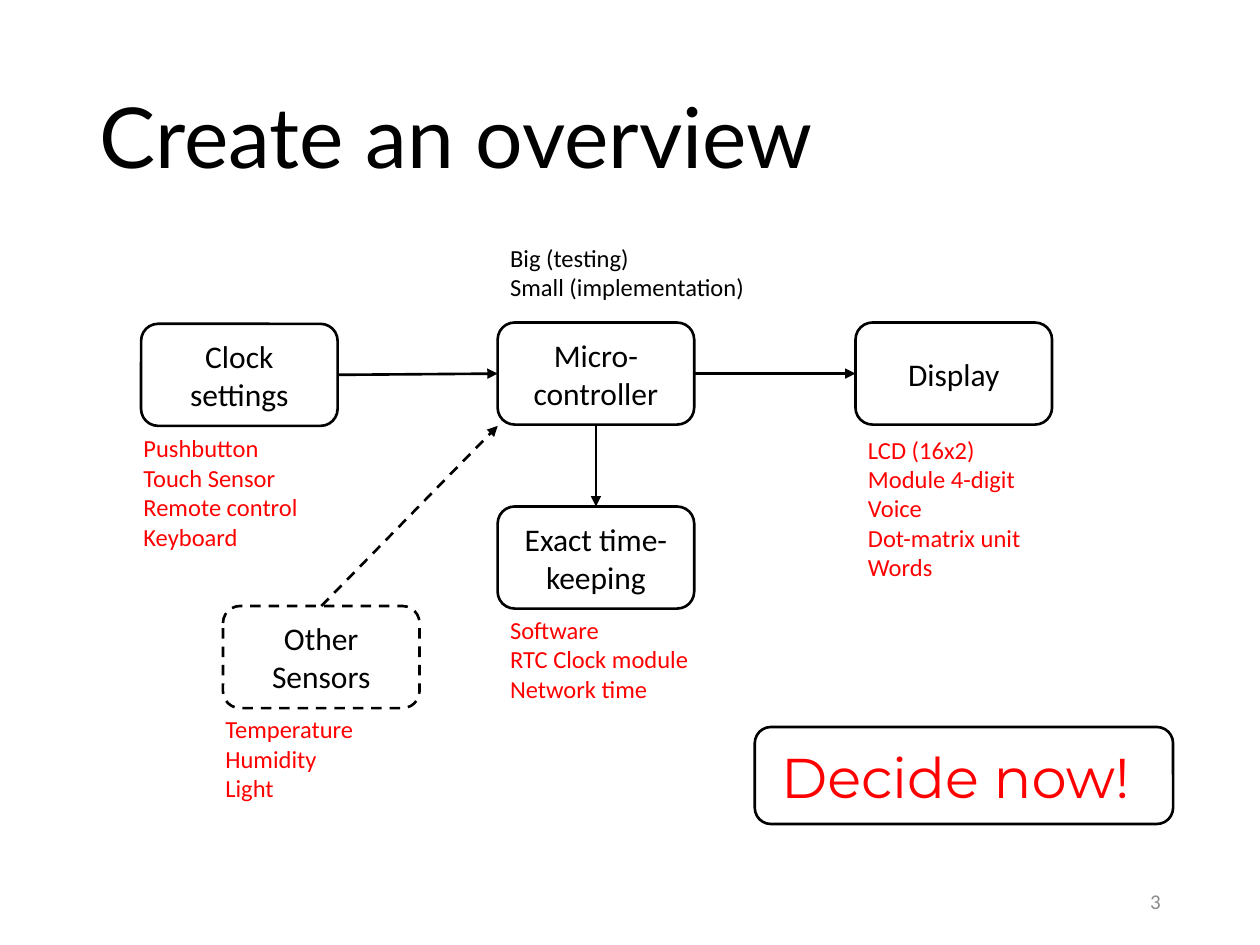
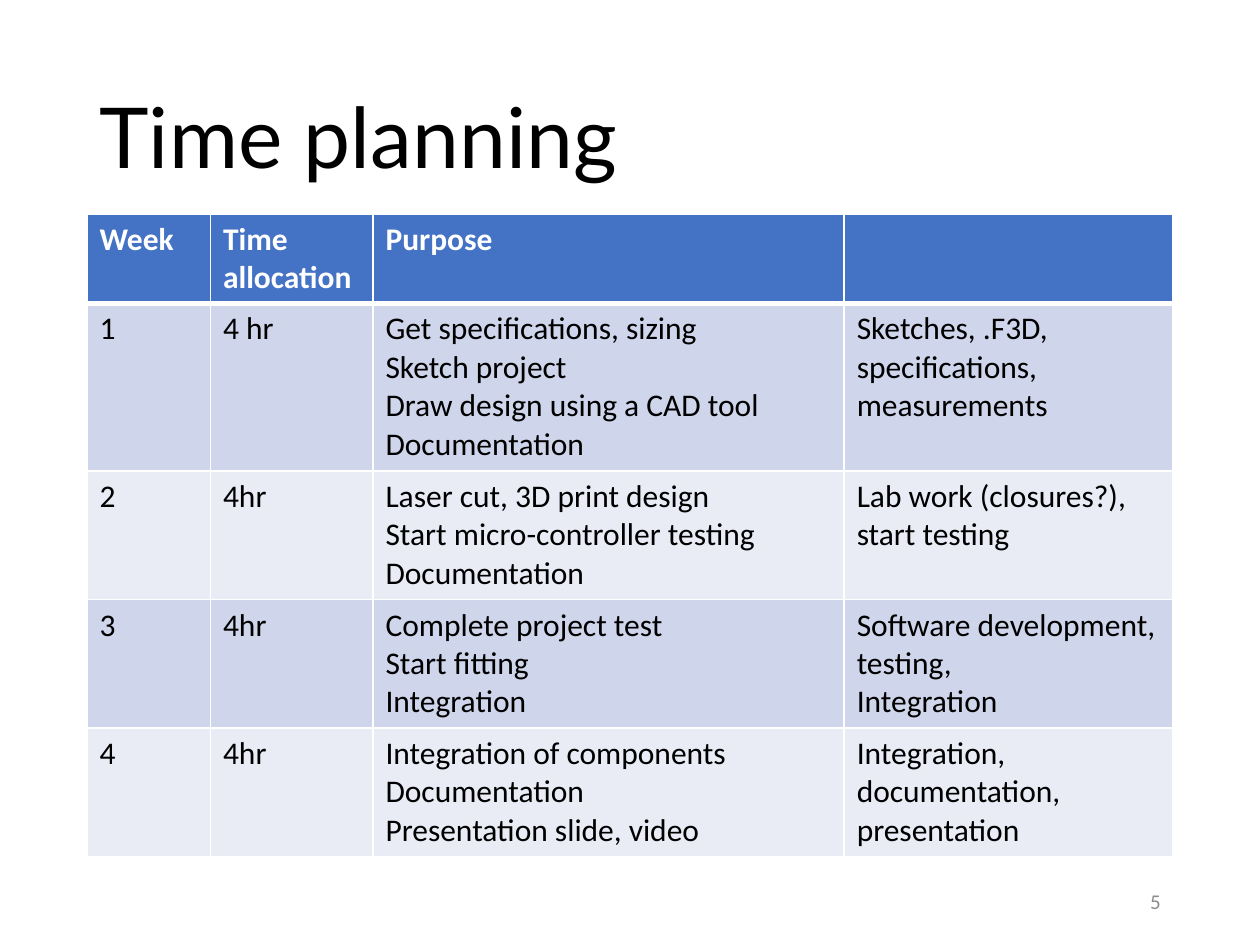
from dataclasses import dataclass

from lxml.etree import SubElement
from pptx import Presentation
from pptx.dml.color import RGBColor as Rgb
from pptx.enum.dml import MSO_LINE as Dash
from pptx.enum.shapes import MSO_CONNECTOR as Conn, MSO_SHAPE as Shape
from pptx.enum.text import MSO_ANCHOR as Anchor, MSO_AUTO_SIZE as Fit, PP_ALIGN as Align
from pptx.oxml.ns import qn
from pptx.util import Inches, Pt


# Theme shared by both slides
@dataclass(frozen=True)
class Theme:
    ink: str = "000000"
    red: str = "FF0000"
    gray: str = "8C8C8C"
    white: str = "FFFFFF"
    head: str = "4472C4"
    bands: tuple = ("CFD5EA", "E9EBF5")
    body: str = "Calibri"
    title: str = "Lato"
    call: str = "Montserrat"
    big: int = 48
    loud: int = 32
    text: int = 18
    note: int = 14
    small: int = 12
    line: float = 1.5


T = Theme()

# Overview content: name -> (label, left, top, dashed)
SIZE = (1.56, 0.81)
BOXES = {
    "micro": ("Micro-controller", 3.95, 2.56, False),
    "show": ("Display", 6.79, 2.56, False),
    "clock": ("Clock settings", 1.12, 2.57, False),
    "time": ("Exact time-keeping", 3.95, 4.02, False),
    "other": ("Other Sensors", 1.77, 4.81, True),
}
TOP, LEFT, BOTTOM, RIGHT = range(4)
LINKS = [
    ("clock", RIGHT, "micro", LEFT),
    ("micro", RIGHT, "show", LEFT),
    ("micro", BOTTOM, "time", TOP),
]
CORNER = (3.95, 3.38)

# Notes: lines, left, top, width, colour
NOTES = [
    (["Pushbutton", "Touch Sensor", "Remote control", "Keyboard"], 1.04, 3.39, 1.44, T.red),
    (["Software", "RTC Clock module", "Network time"], 3.95, 4.83, 1.63, T.red),
    (["Big (testing)", "Small (implementation)"], 3.95, 1.88, 2.07, T.ink),
    (["LCD (16x2)", "Module 4-digit", "Voice", "Dot-matrix unit", "Words"],
     6.79, 3.4, 1.51, T.red),
    (["Temperature", "Humidity", "Light"], 1.69, 5.62, 1.23, T.red),
]

# Plan content: each cell is a list of lines
COLS = [0.98, 1.29, 3.74, 2.61]
HEAD = [["Week"], ["Time allocation"], ["Purpose"], [""]]
WEEKS = [
    [["1"], ["4 hr"],
     ["Get specifications, sizing", "Sketch project",
      "Draw design using a CAD tool", "Documentation"],
     ["Sketches, .F3D, specifications, measurements"]],
    [["2"], ["4hr"],
     ["Laser cut, 3D print design", "Start micro-controller testing", "Documentation"],
     ["Lab work (closures?), start testing"]],
    [["3"], ["4hr"],
     ["Complete project test", "Start fitting", "Integration"],
     ["Software development, testing,", "Integration"]],
    [["4"], ["4hr"],
     ["Integration of components", "Documentation", "Presentation slide, video"],
     ["Integration, documentation, presentation"]],
]


# Helpers
def write(frame, lines, size, color, face=T.body, align=Align.LEFT, bold=False):
    frame.text = "\n".join(lines)
    for para in frame.paragraphs:
        para.alignment = align
        font = para.font
        font.name, font.size, font.bold = face, Pt(size), bold
        font.color.rgb = Rgb.from_string(color)


def label(slide, lines, spot, size, color, **style):
    frame = slide.shapes.add_textbox(*map(Inches, spot)).text_frame
    frame.word_wrap = False
    frame.auto_size = Fit.SHAPE_TO_FIT_TEXT
    write(frame, lines, size, color, **style)


def stroke(part, dashed=False):
    part.line.color.rgb = Rgb.from_string(T.ink)
    part.line.width = Pt(T.line)
    if dashed:
        part.line.dash_style = Dash.DASH


def box(slide, spot, dashed=False):
    shape = slide.shapes.add_shape(Shape.ROUNDED_RECTANGLE, *map(Inches, spot))
    shape.shadow.inherit = False
    shape.fill.background()
    stroke(shape, dashed)
    return shape


def arrow(slide, end=(0, 0), dashed=False):
    link = slide.shapes.add_connector(Conn.STRAIGHT, 0, 0, *map(Inches, end))
    stroke(link, dashed)
    props = link._element.spPr
    SubElement(props.find(qn("a:ln")), qn("a:tailEnd"), type="triangle")
    SubElement(props, qn("a:effectLst"))
    return link


def page(deck, title, number):
    slide = deck.slides.add_slide(deck.slide_layouts[5])
    head = slide.shapes.title
    head.left, head.top, head.width, head.height = map(Inches, (0.69, 0.4, 8.62, 1.45))
    frame = head.text_frame
    frame.auto_size, frame.vertical_anchor = Fit.NONE, Anchor.MIDDLE
    write(frame, [title], T.big, T.ink, T.title)
    frame.paragraphs[0].line_spacing = 0.9

    foot = slide.shapes.add_textbox(*map(Inches, (7.06, 6.95, 2.25, 0.4))).text_frame
    foot.word_wrap, foot.vertical_anchor = True, Anchor.MIDDLE
    write(foot, [number], T.small, T.gray, align=Align.RIGHT)
    return slide


def border(cell, **widths):
    props = cell._tc.get_or_add_tcPr()
    for side in "LRTB":
        line = SubElement(props, qn(f"a:ln{side}"), w=str(Pt(widths.get(side, 1))))
        fill = SubElement(line, qn("a:solidFill"))
        SubElement(fill, qn("a:srgbClr"), val=T.white)


# Slides
def overview(deck):
    slide = page(deck, "Create an overview", "3")
    boxes = {}
    for name, (text, left, top, dashed) in BOXES.items():
        shape = boxes[name] = box(slide, (left, top, *SIZE), dashed)
        shape.text_frame.vertical_anchor = Anchor.MIDDLE
        write(shape.text_frame, [text], T.text, T.ink, align=Align.CENTER)

    for start, out, goal, side in LINKS:
        link = arrow(slide)
        link.begin_connect(boxes[start], out)
        link.end_connect(boxes[goal], side)
    arrow(slide, CORNER, True).begin_connect(boxes["other"], TOP)

    for lines, left, top, width, color in NOTES:
        height = 0.11 + 0.23 * len(lines)
        label(slide, lines, (left, top, width, height), T.note, color)

    # Call to action
    label(slide, ["Decide now!"], (6.1, 5.84, 3.21, 0.64), T.loud, T.red, face=T.call)
    box(slide, (5.99, 5.77, 3.32, 0.77))


def plan(deck):
    slide = page(deck, "Time planning", "5")
    rows = [HEAD] + WEEKS
    spot = map(Inches, (0.69, 1.7, sum(COLS), 5))
    table = slide.shapes.add_table(len(rows), len(COLS), *spot).table
    for col, width in zip(table.columns, COLS):
        col.width = Inches(width)
    for y, row in enumerate(rows):
        count = max(2, *map(len, row))
        table.rows[y].height = Inches(0.09 + 0.31 * count)
        for x, lines in enumerate(row):
            cell = table.cell(y, x)
            border(cell, T=3 if y == 1 else 1, B=1 if y else 3)
            cell.fill.solid()
            shade = T.bands[(y - 1) % 2] if y else T.head
            cell.fill.fore_color.rgb = Rgb.from_string(shade)
            write(cell.text_frame, lines, T.text, T.ink if y else T.white, bold=y == 0)


def main():
    deck = Presentation()
    deck.slide_width, deck.slide_height = Inches(10), Inches(7.5)
    overview(deck)
    plan(deck)
    deck.save("out.pptx")


if __name__ == "__main__":
    main()
